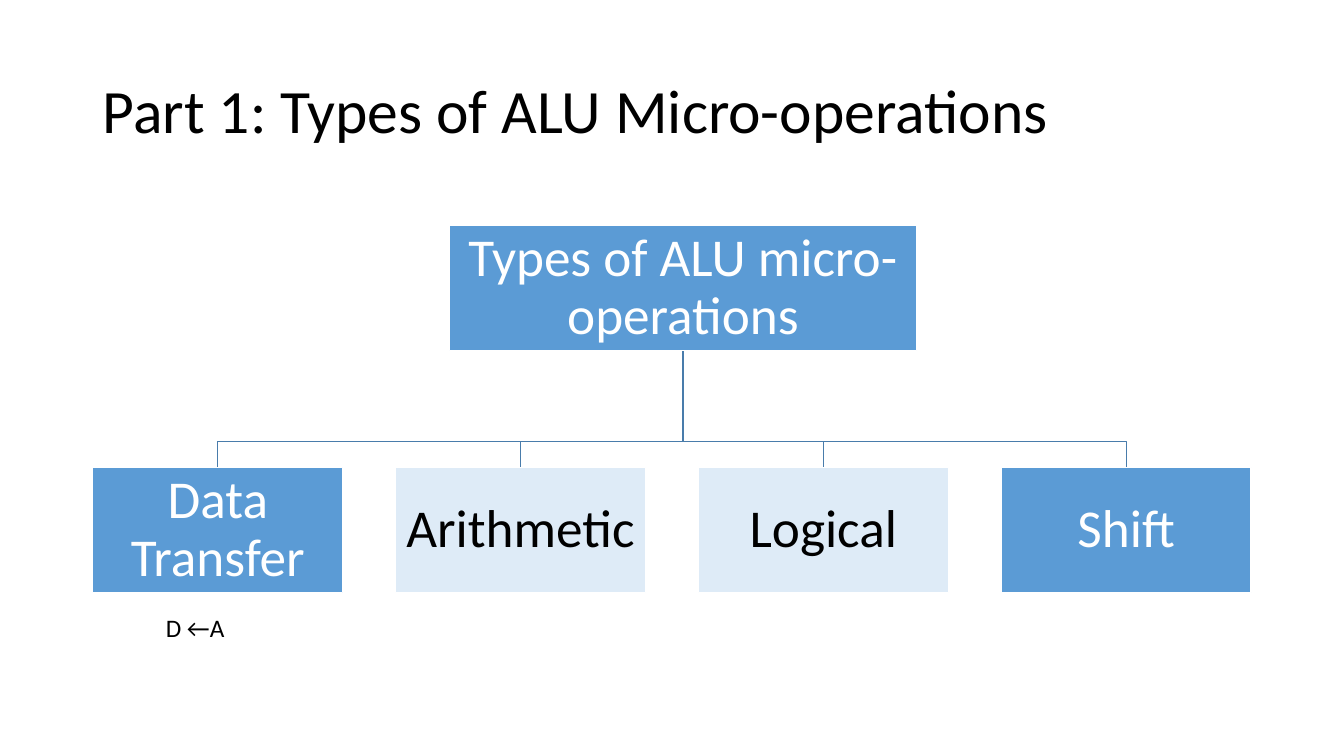
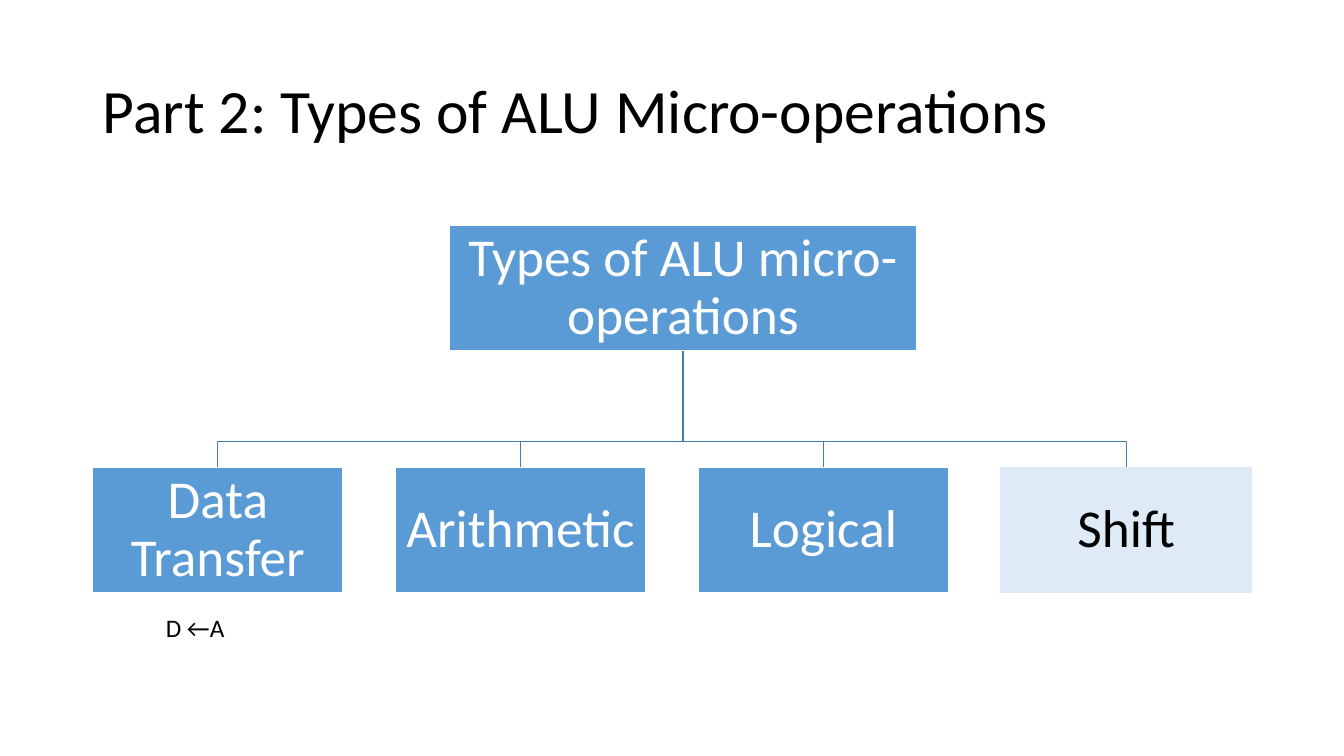
from pptx import Presentation
from pptx.dml.color import RGBColor
from pptx.enum.shapes import MSO_SHAPE
from pptx.enum.text import MSO_ANCHOR, MSO_AUTO_SIZE, PP_ALIGN
from pptx.util import Inches, Pt

BLACK = RGBColor(0x00, 0x00, 0x00)
WHITE = RGBColor(0xFF, 0xFF, 0xFF)
BLUE = RGBColor(0x5B, 0x9B, 0xD5)
PALE = RGBColor(0xDE, 0xEB, 0xF7)
BRANCH_BLUE = RGBColor(0x49, 0x7C, 0xAB)
RECTANGLE = MSO_SHAPE.RECTANGLE
MIDDLE = MSO_ANCHOR.MIDDLE
LEFT, CENTER = PP_ALIGN.LEFT, PP_ALIGN.CENTER
NO_FIT, GROW = MSO_AUTO_SIZE.NONE, MSO_AUTO_SIZE.SHAPE_TO_FIT_TEXT

FONT = "Calibri"
TITLE_ONLY = 5
BOX_HEIGHT = 1.24
ROOT_LEFT, ROOT_TOP, ROOT_WIDTH = 4.46, 2.24, 4.63
KIND_TOP, KIND_WIDTH = 4.64, 2.48
FIRST_LEFT, LAST_LEFT = 0.92, 9.93
BRANCH_TOP, BRANCH_BEND = ROOT_TOP + BOX_HEIGHT, 4.38

KINDS = ["Data Transfer", "Arithmetic", "Logical", "Shift"]
PARTS = [
    ("Part 1: Types of ALU Micro-operations", {"Arithmetic", "Logical"}, WHITE),
    ("Part 2: Types of ALU Micro-operations", {"Shift"}, PALE),
]


class Deck:
    """Holds the shared style and the slide being built."""

    def __init__(self):
        self.presentation = Presentation()
        self.presentation.slide_width = Inches(13.33)
        self.presentation.slide_height = Inches(7.5)
        self.slide = None

    def set_text(self, frame, text, size, color, align, spacing=None):
        frame.text = text
        frame.word_wrap = True
        paragraph = frame.paragraphs[0]
        paragraph.alignment = align
        paragraph.line_spacing = spacing
        font = paragraph.runs[0].font
        font.name, font.size = FONT, Pt(size)
        font.color.rgb = color

    def add_slide(self, heading):
        layout = self.presentation.slide_layouts[TITLE_ONLY]
        self.slide = self.presentation.slides.add_slide(layout)
        title = self.slide.shapes.title
        title.left, title.top = Inches(0.92), Inches(0.4)
        title.width, title.height = Inches(11.5), Inches(1.45)
        frame = title.text_frame
        frame.auto_size = NO_FIT
        frame.vertical_anchor = MIDDLE
        self.set_text(frame, heading, 44, BLACK, LEFT, 0.9)

    def add_box(self, text, left, top, width, fill=BLUE, outline=WHITE, color=WHITE):
        box = self.slide.shapes.add_shape(
            RECTANGLE, Inches(left), Inches(top), Inches(width), Inches(BOX_HEIGHT))
        box.shadow.inherit = False
        box.fill.solid()
        box.fill.fore_color.rgb = fill
        box.line.color.rgb = outline
        box.line.width = Pt(1)
        frame = box.text_frame
        frame.vertical_anchor = MIDDLE
        frame.margin_left = frame.margin_right = Inches(0.03)
        frame.margin_top = frame.margin_bottom = Inches(0.03)
        self.set_text(frame, text, 38, color, CENTER, 0.9)

    def add_branch(self, start_x, end_x):
        builder = self.slide.shapes.build_freeform(Inches(start_x), Inches(BRANCH_TOP))
        bends = [(start_x, BRANCH_BEND), (end_x, BRANCH_BEND), (end_x, KIND_TOP)]
        builder.add_line_segments([(Inches(x), Inches(y)) for x, y in bends], close=False)
        branch = builder.convert_to_shape()
        branch.shadow.inherit = False
        branch.fill.background()
        branch.line.color.rgb = BRANCH_BLUE
        branch.line.width = Pt(1)

    def add_example(self, text, left, top, width, height):
        example = self.slide.shapes.add_textbox(
            Inches(left), Inches(top), Inches(width), Inches(height))
        self.set_text(example.text_frame, text, 18, BLACK, CENTER)
        example.text_frame.auto_size = GROW

    def add_tree(self, highlighted, highlight_outline):
        pitch = (LAST_LEFT - FIRST_LEFT) / (len(KINDS) - 1)
        lefts = [FIRST_LEFT + pitch * i for i in range(len(KINDS))]
        for left in reversed(lefts):
            self.add_branch(ROOT_LEFT + ROOT_WIDTH / 2, left + KIND_WIDTH / 2)
        self.add_box("Types of ALU micro-operations", ROOT_LEFT, ROOT_TOP, ROOT_WIDTH)
        for kind, left in zip(KINDS, lefts):
            colors = (PALE, highlight_outline, BLACK) if kind in highlighted else ()
            self.add_box(kind, left, KIND_TOP, KIND_WIDTH, *colors)


def main():
    deck = Deck()
    for heading, highlighted, highlight_outline in PARTS:
        deck.add_slide(heading)
        deck.add_tree(highlighted, highlight_outline)
        deck.add_example("D ←A", 1.06, 6.03, 1.75, 0.4)
    deck.presentation.save("out.pptx")


if __name__ == "__main__":
    main()
